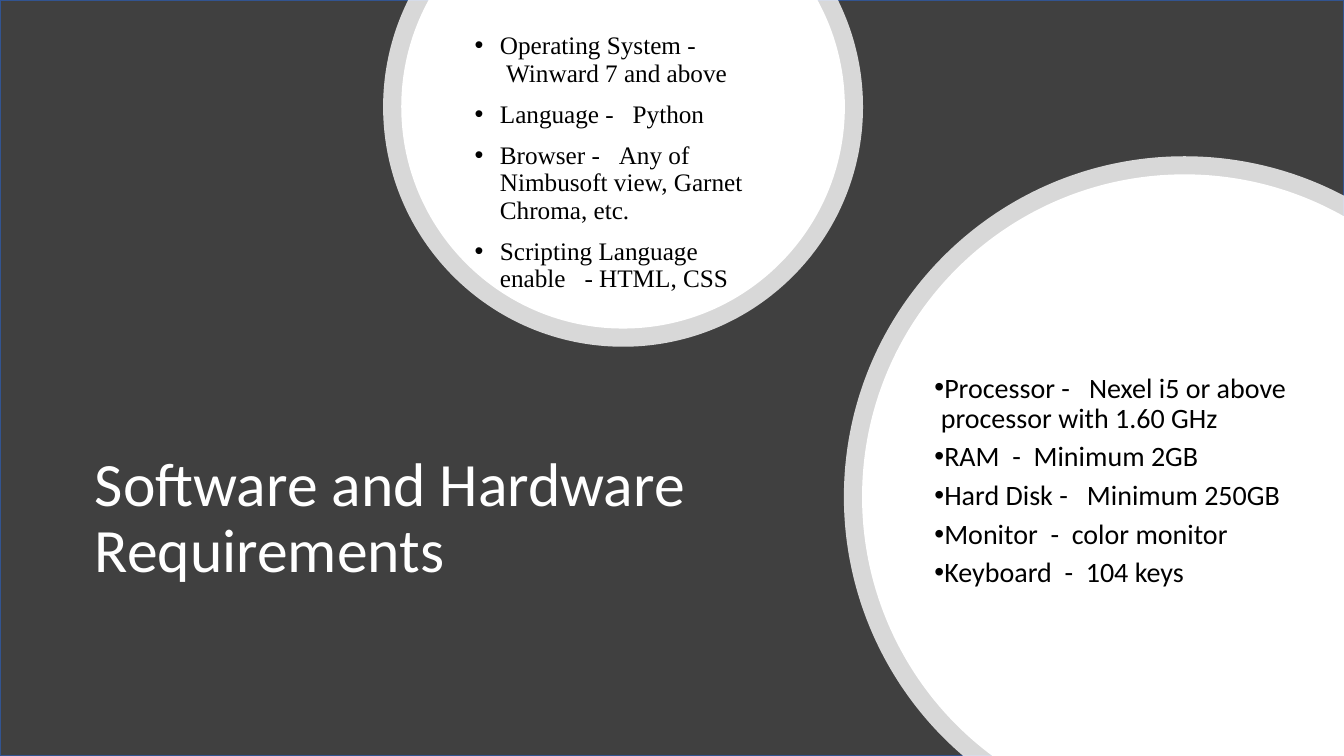
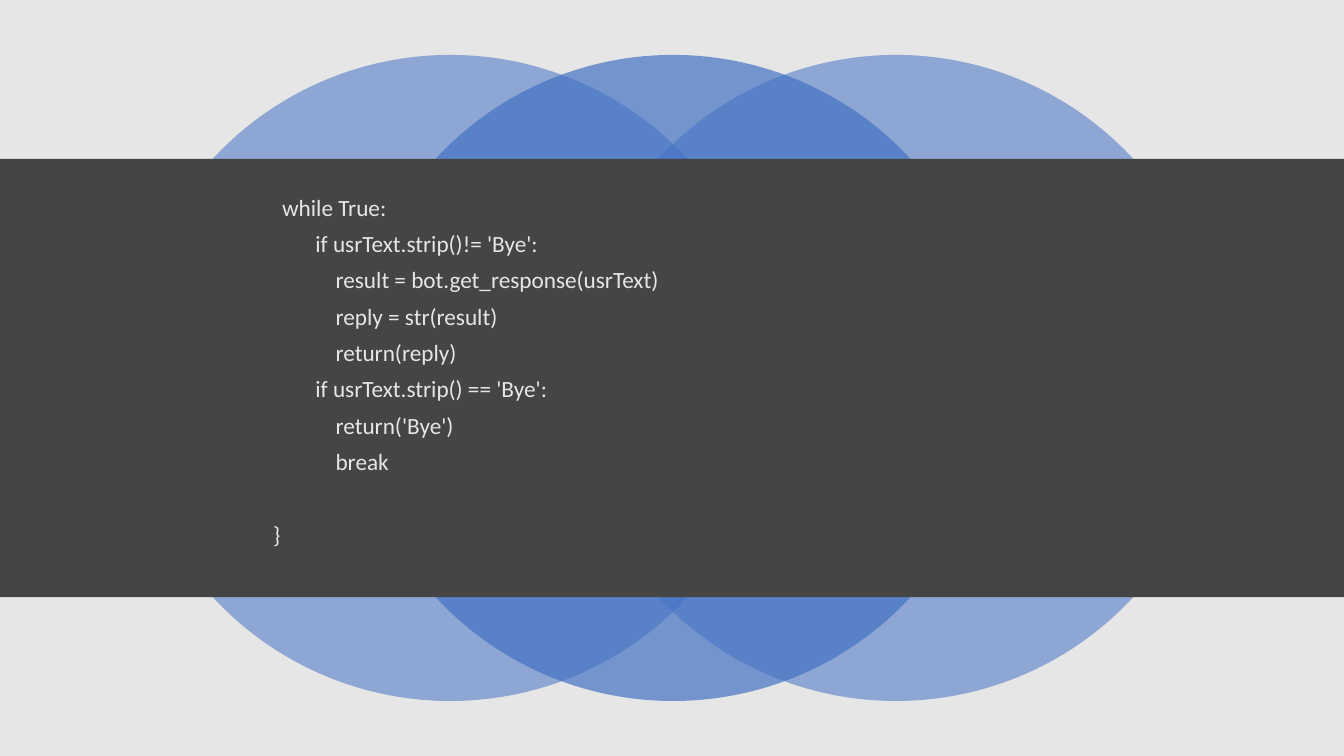
import math
from collections import namedtuple

from lxml import etree
from pptx import Presentation
from pptx import util as u
from pptx.dml.color import RGBColor
from pptx.enum import shapes, text
from pptx.oxml.ns import qn

COLUMNS, ROWS = 1333, 750
CELL = u.Inches(0.01)
HARD = chr(160)
GAP = f"{HARD} {HARD}"
COLORS = {
    "charcoal": "404040",
    "band": "454545",
    "outline": "325491",
    "paper": "E7E6E6",
    "white": "FFFFFF",
    "black": "000000",
    "blue": "4472C4",
}
TITLE = {"font": {"name": "Calibri", "size": u.Pt(44), "color": "white"},
         "paragraph": {"line_spacing": 0.9, "alignment": text.PP_ALIGN.LEFT}}
SOFTWARE = {"font": {"name": "Times New Roman", "size": u.Pt(18), "color": "black"},
            "paragraph": {"line_spacing": 0.9, "space_before": u.Pt(10)},
            "hanging": 25, "bullet": "•"}
HARDWARE = {"font": {"name": "Calibri", "size": u.Pt(20), "color": "black"},
            "paragraph": {"line_spacing": 0.9, "space_after": u.Pt(6)},
            "hanging": 0, "bullet": "•"}
CODE = {"font": {"name": "Calibri", "size": u.Pt(16.6), "color": "paper"},
        "paragraph": {"line_spacing": 0.8, "space_before": u.Pt(10)}}

Box = namedtuple("Box", "left top width height")
SLIDE = Box(0, 0, COLUMNS, ROWS)


def emu(box):
    """Turn a box in grid cells into slide lengths."""
    return [int(cells * CELL) for cells in box]


def inside(box, left, top, width, height):
    """Return a box placed relative to the corner of another."""
    return Box(box.left + left, box.top + top, width, height)


def apply(target, values):
    """Set attributes from a dict of format values."""
    for name, value in values.items():
        setattr(target, name, value)


def paint(shape, color, opacity=100, outline=None):
    """Give a shape a flat fill and an optional thin outline."""
    shape.shadow.inherit = False
    shape.fill.solid()
    shape.fill.fore_color.rgb = RGBColor.from_string(COLORS[color])
    if opacity < 100:
        fill = shape._element.spPr.find(qn("a:solidFill"))
        etree.SubElement(fill[0], qn("a:alpha"), val=str(opacity * 1000))
    if outline:
        shape.line.color.rgb = RGBColor.from_string(COLORS[outline])
        shape.line.width = u.Pt(1)
    else:
        shape.line.fill.background()


def add_preset(parent, kind, box, color, **look):
    """Add a painted preset shape to a slide or group."""
    paint(parent.shapes.add_shape(kind, *emu(box)), color, **look)


def write(paragraph, words, style):
    """Fill a paragraph with one run in the given style."""
    run = paragraph.add_run()
    run.text = words
    font = dict(style["font"])
    run.font.color.rgb = RGBColor.from_string(COLORS[font.pop("color")])
    apply(run.font, font)
    apply(paragraph, style["paragraph"])


def indent(paragraph, cells, hanging=0):
    """Indent a paragraph, with its first line hanging back."""
    properties = paragraph._p.get_or_add_pPr()
    properties.set("marL", str(int(cells * CELL)))
    properties.set("indent", str(-int(hanging * CELL)))
    return properties


def add_paragraphs(slide, box, lines, style):
    """Add a wrapped text box and yield its written paragraphs."""
    frame = slide.shapes.add_textbox(*emu(box)).text_frame
    frame.word_wrap = True
    for number, words in enumerate(lines):
        paragraph = frame.add_paragraph() if number else frame.paragraphs[0]
        write(paragraph, words, style)
        if number == 0:
            paragraph.space_before = u.Pt(0)
        yield paragraph


def add_bullets(slide, box, lines, style):
    """Write a bulleted list in a box."""
    for paragraph in add_paragraphs(slide, box, lines, style):
        properties = indent(paragraph, style["hanging"], style["hanging"])
        etree.SubElement(properties, qn("a:buFont"), typeface="Arial")
        etree.SubElement(properties, qn("a:buChar"), char=style["bullet"])


def visible_arc(box):
    """Return the angles where a disc meets the slide edges, and the corner it covers."""
    radius = box.width / 2
    x, y = box.left + radius, box.top + radius
    if x + radius > COLUMNS:
        start = math.pi - math.asin((ROWS - y) / radius)
        return start, 2 * math.pi - math.acos((COLUMNS - x) / radius), [(COLUMNS, ROWS)]
    start = math.asin(-y / radius)
    return start, math.pi - start, []


def arc_points(box, start, end):
    """Return the first point, then two handles and an end for each quadrant."""
    radius = box.width / 2
    quarter = math.pi / 2
    turns = [n * quarter for n in range(-4, 5) if start < n * quarter < end]
    angles = [start, *turns, end]

    def place(angle, pull=0):
        return (box.left + radius * (1 + math.cos(angle) - pull * math.sin(angle)),
                box.top + radius * (1 + math.sin(angle) + pull * math.cos(angle)))

    points = [place(start)]
    for first, last in zip(angles, angles[1:]):
        pull = 4 / 3 * math.tan((last - first) / 4)
        points += [place(first, pull), place(last, -pull), place(last)]
    return points


def add_disc(slide, box, opacity=100):
    """Draw a white disc cut off at the slide edges."""
    start, end, corners = visible_arc(box)
    curve = arc_points(box, start, end)
    points = [(x * CELL, y * CELL) for x, y in curve + corners]
    builder = slide.shapes.build_freeform(*points[0])
    builder.add_line_segments(points[1:], close=True)
    shape = builder.convert_to_shape()
    lines = list(shape._element.iter(qn("a:lnTo")))[:len(curve) - 1]
    for first in range(0, len(lines), 3):
        bend = etree.Element(qn("a:cubicBezTo"))
        lines[first].addprevious(bend)
        for line in lines[first:first + 3]:
            bend.append(line[0])
            line.getparent().remove(line)
    paint(shape, "white", opacity)


def add_ringed_list(slide, box, list_box, lines, style, ring=18):
    """Draw a disc with a translucent ring and a list on it."""
    add_disc(slide, box, 80)
    add_disc(slide, inside(box, ring, ring, box.width - 2 * ring, box.height - 2 * ring))
    add_bullets(slide, inside(box, *list_box), lines, style)


def add_title(slide, box, words):
    """Move the title placeholder to a box, in front, and format it."""
    title = slide.shapes.title
    slide.shapes._spTree.append(title._element)
    apply(title, dict(zip(("left", "top", "width", "height"), emu(box))))
    apply(title.text_frame, {"vertical_anchor": text.MSO_ANCHOR.MIDDLE, "word_wrap": True})
    write(title.text_frame.paragraphs[0], words, TITLE)


def add_circles(slide, box):
    """Draw three overlapping circles, the middle one in front."""
    group = slide.shapes.add_group_shape()
    size = box.height
    step = (box.width - size) / 2
    for place, opacity in ((0, 55), (2, 55), (1, 70)):
        circle = inside(box, place * step, 0, size, size)
        add_preset(group, shapes.MSO_SHAPE.OVAL, circle, "blue", opacity=opacity)


def add_code(slide, box, lines):
    """Write code lines, each with an indent and blank lines above."""
    words = [line[2] for line in lines]
    for paragraph, (cells, gaps, _) in zip(add_paragraphs(slide, box, words, CODE), lines):
        indent(paragraph, cells)
        if gaps:
            paragraph.space_before = u.Pt(10 + 26 * gaps)


def requirements_slide(presentation):
    """Build the slide of software and hardware requirements."""
    slide = presentation.slides.add_slide(presentation.slide_layouts[5])
    add_preset(slide, shapes.MSO_SHAPE.RECTANGLE, SLIDE, "charcoal", outline="outline")
    add_title(slide, Box(84, 383, 662, 265), "Software and Hardware Requirements")
    add_ringed_list(slide, Box(380, -132, 476, 476), Box(81, 160, 305, 270), [
        f"Operating System -{GAP}Winward 7 and above",
        f"Language -{GAP}Python",
        f"Browser -{GAP}Any of Nimbusoft view, Garnet Chroma, etc.",
        f"Scripting Language enable{GAP}- HTML, CSS",
    ], SOFTWARE)
    add_ringed_list(slide, Box(837, 155, 676, 676), Box(80, 211, 380, 230), [
        f"Processor -{GAP}Nexel i5 or above{GAP}processor with 1.60 GHz",
        f"RAM{HARD} -{HARD} Minimum 2GB",
        f"Hard Disk -{GAP}Minimum 250GB",
        f"Monitor{HARD} -{HARD} color monitor",
        f"Keyboard{HARD} -{HARD} 104 keys",
    ], HARDWARE)


def code_slide(presentation):
    """Build the slide of code on a dark band over circles."""
    slide = presentation.slides.add_slide(presentation.slide_layouts[6])
    add_preset(slide, shapes.MSO_SHAPE.RECTANGLE, SLIDE, "paper")
    add_circles(slide, Box(126, 54.5, 1083, 641))
    band = Box(0, 157.5, COLUMNS, 435)
    add_preset(slide, shapes.MSO_SHAPE.RECTANGLE, band, "band")
    outer, branch, body = 9, 42, 62
    add_code(slide, inside(band, 261, 34.5, 812, 370), [
        (outer, 0, "while True:"),
        (branch, 0, "if usrText.strip()!= 'Bye':"),
        (body, 0, "result = bot.get_response(usrText)"),
        (body, 0, "reply = str(result)"),
        (body, 0, "return(reply)"),
        (branch, 0, "if usrText.strip() == 'Bye':"),
        (body, 0, "return('Bye')"),
        (body, 0, "break"),
        (0, 1, "}"),
    ])


def main():
    """Build and save the presentation."""
    presentation = Presentation()
    apply(presentation, {"slide_width": u.Inches(13.33), "slide_height": u.Inches(7.5)})
    requirements_slide(presentation)
    code_slide(presentation)
    presentation.save("out.pptx")


if __name__ == "__main__":
    main()
